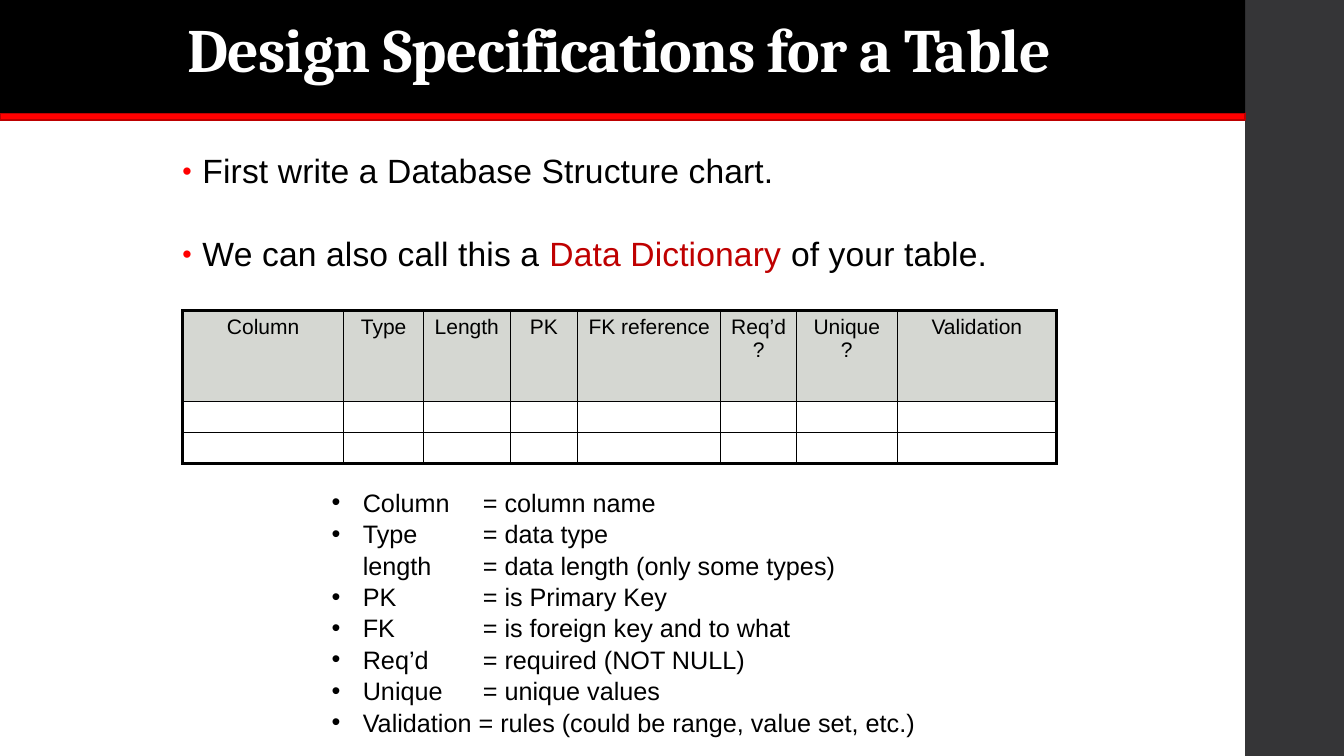
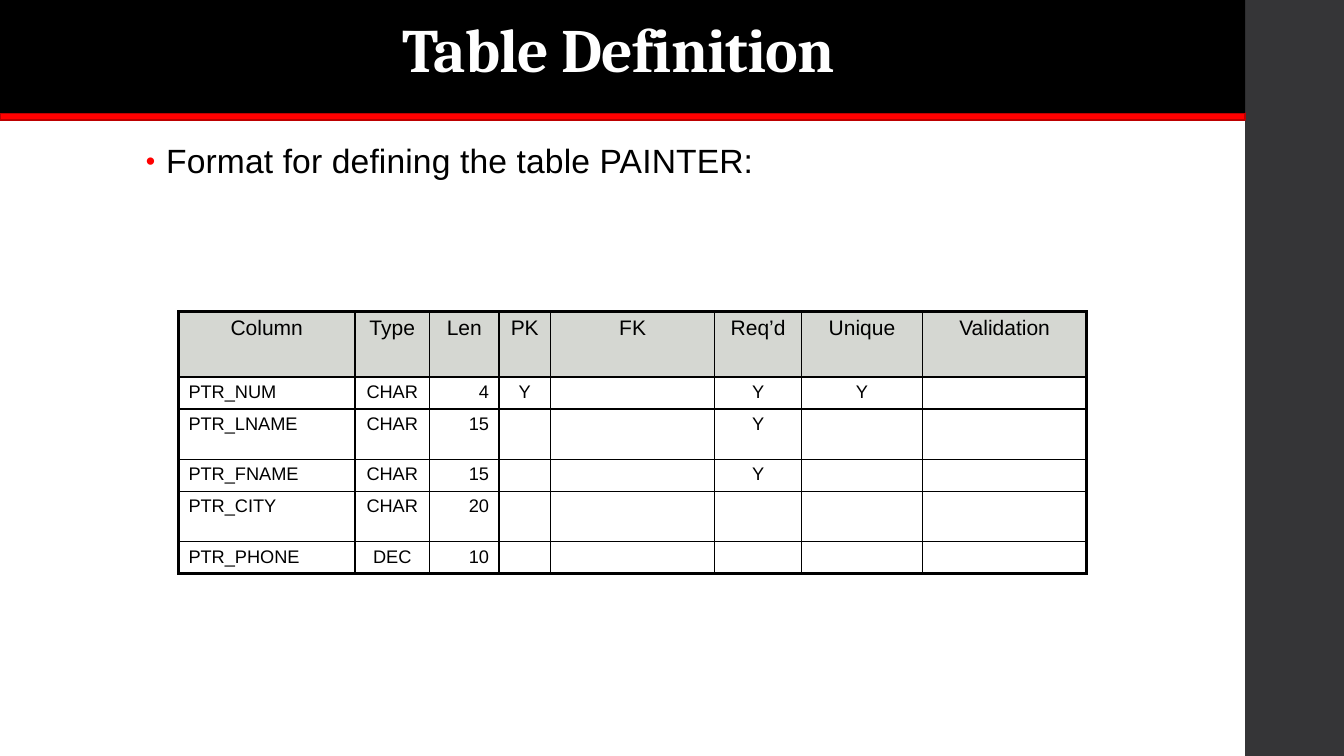
from lxml import etree
from pptx import Presentation
from pptx import util as u
from pptx.dml.color import RGBColor
from pptx.enum import shapes, text
from pptx.oxml.ns import qn

PX = 9144
SLIDE_SIZE = (1333, 750)
BLACK = RGBColor(0x00, 0x00, 0x00)
WHITE = RGBColor(0xFF, 0xFF, 0xFF)
RED = RGBColor(0xFF, 0x00, 0x00)
RULE_EDGE = RGBColor(0xBD, 0x00, 0x00)
TERM_RED = RGBColor(0xBF, 0x00, 0x00)
SIDEBAR_GREY = RGBColor(0x35, 0x35, 0x37)
HEADER_GREY = RGBColor(0xD5, 0xD7, 0xD2)

BODY_FONT, TITLE_FONT = "Arial", "Cambria"
TITLE_BOX = (-7, -7, 1242, 119)
BANDS = [
    ((1235, 0, 98, 750), SIDEBAR_GREY, None),
    ((0, 112, 1235, 7), RED, RULE_EDGE),
]
LEFT, CENTER, RIGHT = text.PP_ALIGN.LEFT, text.PP_ALIGN.CENTER, text.PP_ALIGN.RIGHT
OUTER, INNER = 2.25, 1

SPECIFICATION = {
    "title": "Design Specifications for a Table",
    "body_box": (171, 147, 902, 140),
    "bullets": [
        [("First write a Database Structure chart.", BLACK)],
        [("We can also call this a ", BLACK), ("Data Dictionary ", TERM_RED),
         ("of your table.", BLACK)],
    ],
    "table": {
        "corner": (181, 308),
        "columns": [160, 79, 86, 67, 142, 75, 100, 158],
        "heights": [90, 31, 31],
        "rows": [
            ["Column", "Type", "Length", "PK", "FK reference", "Req’d ?", "Unique ?", "Validation"],
            [""] * 8,
            [""] * 8,
        ],
    },
}
LEGEND_BOX = (319, 477, 768, 252)
LEGEND = [
    "Column \t= column name",
    "Type \t\t= data type\vlength \t= data length (only some types)",
    "PK \t\t= is Primary Key",
    "FK \t\t= is foreign key and to what",
    "Req’d \t= required (NOT NULL)",
    "Unique \t= unique values",
    "Validation = rules (could be range, value set, etc.)",
]
DEFINITION = {
    "title": "Table Definition",
    "body_box": (135, 137, 940, 476),
    "bullets": [[("Format for defining the table PAINTER:", BLACK)]],
    "table": {
        "corner": (177, 309),
        "columns": [175, 74, 69, 51, 163, 86, 120, 163],
        "heights": [65, 31, 50, 31, 50, 31],
        "rows": [
            ["Column", "Type", "Len", "PK", "FK", "Req’d", "Unique", "Validation"],
            ["PTR_NUM", "CHAR", "4", "Y", "", "Y", "Y", ""],
            ["PTR_LNAME", "CHAR", "15", "", "", "Y", "", ""],
            ["PTR_FNAME", "CHAR", "15", "", "", "Y", "", ""],
            ["PTR_CITY", "CHAR", "20", "", "", "", "", ""],
            ["PTR_PHONE", "DEC", "10", "", "", "", "", ""],
        ],
    },
}
COLUMN_ALIGNMENT = {0: LEFT, 2: RIGHT}


def emu(lengths):
    return [u.Emu(length * PX) for length in lengths]


def set_font(font, name, size, color=BLACK, bold=False):
    font.name, font.size, font.bold = name, u.Pt(size), bold
    font.color.rgb = color


def set_tracking(paragraph, hundredths):
    for run in paragraph.runs:
        run._r.get_or_add_rPr().set("spc", str(hundredths))


def add_bullet(paragraph, indent, color=BLACK, percent=100):
    properties = paragraph._p.get_or_add_pPr()
    properties.set("marL", str(indent * PX))
    properties.set("indent", str(-indent * PX))
    properties.set("defTabSz", str(50 * PX))
    bullet_color = etree.SubElement(properties, qn("a:buClr"))
    etree.SubElement(bullet_color, qn("a:srgbClr"), val=str(color))
    etree.SubElement(properties, qn("a:buSzPct"), val=str(percent * 1000))
    etree.SubElement(properties, qn("a:buFont"), typeface=BODY_FONT)
    etree.SubElement(properties, qn("a:buChar"), char="•")


def add_paragraphs(slide, box, count):
    frame = slide.shapes.add_textbox(*emu(box)).text_frame
    frame.word_wrap = True
    for _ in range(count - 1):
        frame.add_paragraph()
    return frame.paragraphs


def add_body(slide, box, bullets):
    for index, paragraph in enumerate(add_paragraphs(slide, box, len(bullets))):
        add_bullet(paragraph, 20, RED, 80)
        paragraph.line_spacing = 0.95
        paragraph.space_before = u.Pt(32 if index else 0)
        set_font(paragraph.font, BODY_FONT, 24)
        for words, color in bullets[index]:
            run = paragraph.add_run()
            run.text = words
            run.font.color.rgb = color
        set_tracking(paragraph, 10)


def add_legend(slide):
    for paragraph, entry in zip(add_paragraphs(slide, LEGEND_BOX, len(LEGEND)), LEGEND):
        paragraph.text = entry
        add_bullet(paragraph, 31)
        paragraph.line_spacing = 1.04
        set_font(paragraph.font, BODY_FONT, 18)


def set_borders(cell, left, right, top, bottom):
    properties = cell._tc.get_or_add_tcPr()
    for side, width in zip("LRTB", (left, right, top, bottom)):
        line = etree.SubElement(properties, qn(f"a:ln{side}"), w=str(u.Pt(width)))
        fill = etree.SubElement(line, qn("a:solidFill"))
        etree.SubElement(fill, qn("a:srgbClr"), val=str(BLACK))


def format_cell(cell, words, is_header, alignment):
    if is_header:
        cell.fill.solid()
        cell.fill.fore_color.rgb = HEADER_GREY
    else:
        cell.fill.background()
    if not words:
        cell.margin_top = cell.margin_bottom = 0
    paragraph = cell.text_frame.paragraphs[0]
    paragraph.text = words
    paragraph.alignment = alignment
    set_font(paragraph.font, BODY_FONT, 15 if is_header else 13)


def add_grid(slide, corner, columns, heights, rows):
    size = (sum(columns), sum(heights))
    table = slide.shapes.add_table(len(rows), len(columns), *emu(corner + size)).table
    table.first_row = table.horz_banding = False
    for column, width in zip(table.columns, emu(columns)):
        column.width = width
    for row, height in zip(table.rows, emu(heights)):
        row.height = height
    last_row, last_column = len(rows) - 1, len(columns) - 1
    for i, row in enumerate(rows):
        for j, words in enumerate(row):
            cell = table.cell(i, j)
            edges = (j == 0, j == last_column, i == 0, i == last_row)
            set_borders(cell, *(OUTER if edge else INNER for edge in edges))
            alignment = COLUMN_ALIGNMENT.get(j, CENTER) if i else CENTER
            format_cell(cell, words, i == 0, alignment)


def add_title(slide, words):
    title = slide.shapes.title
    title.left, title.top, title.width, title.height = emu(TITLE_BOX)
    title.fill.solid()
    title.fill.fore_color.rgb = BLACK
    frame = title.text_frame
    frame.auto_size = text.MSO_AUTO_SIZE.NONE
    frame.vertical_anchor = text.MSO_ANCHOR.MIDDLE
    paragraph = frame.paragraphs[0]
    paragraph.text = words
    paragraph.alignment = CENTER
    paragraph.line_spacing = 0.9
    set_font(paragraph.font, TITLE_FONT, 44, WHITE, True)
    set_tracking(paragraph, -50)


def move_bands_to_layout(slide, layout):
    for placeholder in list(layout.placeholders):
        if placeholder.placeholder_format.type != shapes.PP_PLACEHOLDER.TITLE:
            placeholder.element.getparent().remove(placeholder.element)
    for box, color, edge in BANDS:
        band = slide.shapes.add_shape(shapes.MSO_SHAPE.RECTANGLE, *emu(box))
        band.shadow.inherit = False
        band.fill.solid()
        band.fill.fore_color.rgb = color
        if edge is None:
            band.line.fill.background()
        else:
            band.line.color.rgb = edge
            band.line.width = u.Pt(1.1)
        layout.shapes.element.append(band.element)


def add_content_slide(presentation, layout, content):
    slide = presentation.slides.add_slide(layout)
    add_title(slide, content["title"])
    add_body(slide, content["body_box"], content["bullets"])
    add_grid(slide, **content["table"])
    return slide


def main():
    presentation = Presentation()
    presentation.slide_width, presentation.slide_height = emu(SLIDE_SIZE)
    layout = presentation.slide_layouts[5]
    specification = add_content_slide(presentation, layout, SPECIFICATION)
    add_legend(specification)
    move_bands_to_layout(specification, layout)
    add_content_slide(presentation, layout, DEFINITION)
    presentation.save("out.pptx")


if __name__ == "__main__":
    main()
